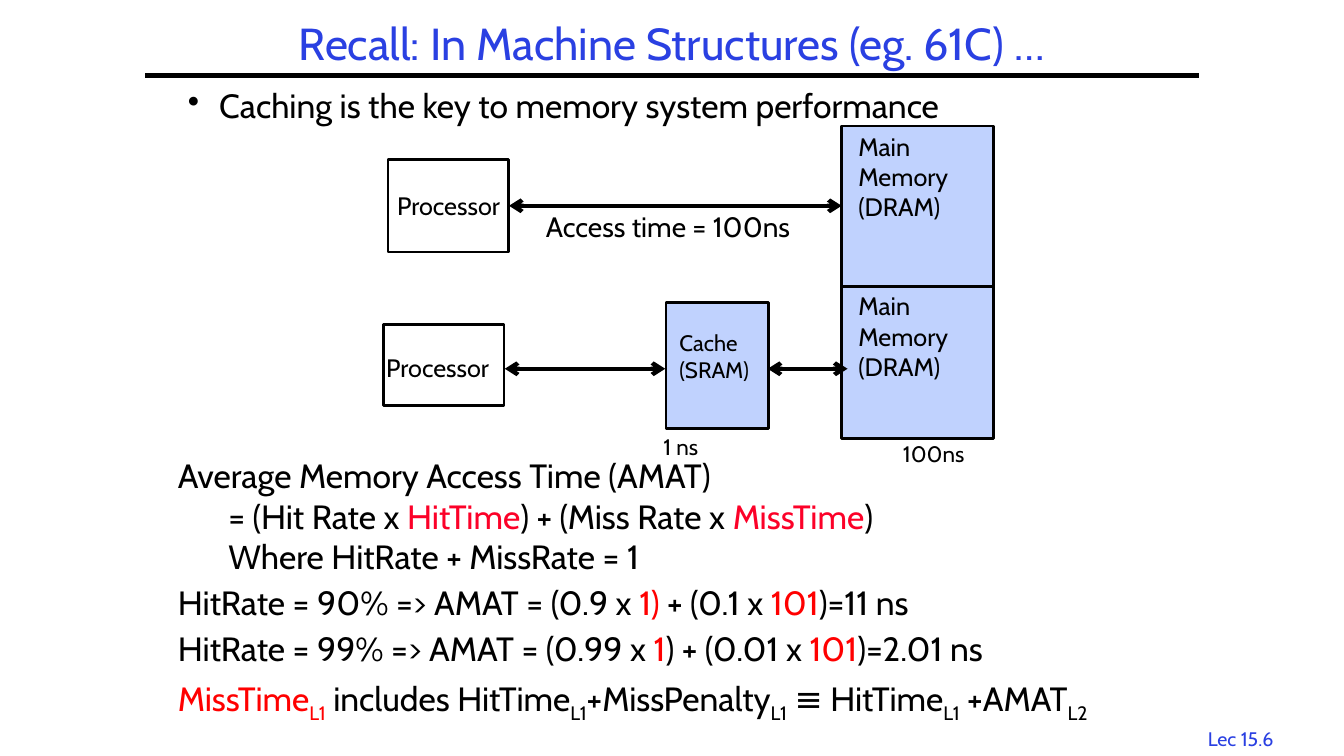
from dataclasses import dataclass

from lxml.etree import SubElement
from pptx import Presentation
from pptx.dml.color import RGBColor as Rgb
from pptx.enum.shapes import MSO_CONNECTOR as Connector, MSO_SHAPE as Preset
from pptx.enum.text import MSO_ANCHOR as Anchor, MSO_AUTO_SIZE as AutoSize, PP_ALIGN as Align
from pptx.oxml.ns import qn
from pptx.util import Inches, Pt


@dataclass(frozen=True)
class Theme:
    font: str = "Cabin"
    ink: str = "000000"
    heading: str = "2A40E2"
    memory: str = "C0D2FE"
    crimson: str = "FC0128"
    red: str = "FF0000"
    title_size: int = 32
    body_size: int = 24
    access_size: int = 20
    label_size: int = 18
    small_size: int = 16
    footer_size: int = 14
    outline: float = 2
    stroke: float = 3
    tight: float = 0.9
    gap: float = 7.2


@dataclass(frozen=True)
class Area:
    column: float
    row: float
    columns: float
    rows: float


@dataclass(frozen=True)
class Block:
    area: Area
    fill: str | None = None


@dataclass(frozen=True)
class Label:
    area: Area
    text: str
    size: int
    align: Align = Align.LEFT
    color: str = Theme.ink
    wrap: bool = True


@dataclass(frozen=True)
class Link:
    start: float
    end: float
    row: float
    arrows: bool = True


@dataclass(frozen=True)
class Piece:
    text: str
    color: str = Theme.ink
    lowered: bool = False


@dataclass(frozen=True)
class Formula:
    pieces: tuple[Piece, ...]
    spaced: bool = False


THEME = Theme()
deck = Presentation()
deck.slide_width, deck.slide_height = Inches(13.33), Inches(7.5)
COLUMN, ROW = deck.slide_width / 160, deck.slide_height / 90


def across(columns: float) -> int:
    return round(columns * COLUMN)


def down(rows: float) -> int:
    return round(rows * ROW)


def box(area: Area) -> tuple[int, int, int, int]:
    return across(area.column), down(area.row), across(area.columns), down(area.rows)


def style(font, size: float, color: str) -> None:
    font.name, font.size = THEME.font, Pt(size)
    font.color.rgb = Rgb.from_string(color)


def draw_label(slide, label: Label):
    frame = slide.shapes.add_textbox(*box(label.area)).text_frame
    frame.word_wrap = label.wrap
    frame.text = label.text
    for paragraph in frame.paragraphs:
        paragraph.alignment = label.align
        for run in paragraph.runs:
            style(run.font, label.size, label.color)
    return frame


def draw_block(slide, block: Block) -> None:
    shape = slide.shapes.add_shape(Preset.RECTANGLE, *box(block.area))
    shape.shadow.inherit = False
    if block.fill:
        shape.fill.solid()
        shape.fill.fore_color.rgb = Rgb.from_string(block.fill)
    else:
        shape.fill.background()
    shape.line.color.rgb = Rgb.from_string(THEME.ink)
    shape.line.width = Pt(THEME.outline)


def draw_link(slide, link: Link) -> None:
    y = down(link.row)
    connector = slide.shapes.add_connector(
        Connector.STRAIGHT, across(link.start), y, across(link.end), y)
    connector.line.color.rgb = Rgb.from_string(THEME.ink)
    connector.line.width = Pt(THEME.stroke)
    properties = connector._element.spPr
    if link.arrows:
        for end in ("a:headEnd", "a:tailEnd"):
            SubElement(properties.find(qn("a:ln")), qn(end), type="arrow")
    SubElement(properties, qn("a:effectLst"))


def draw_title(slide, area: Area, text: str) -> None:
    title = slide.shapes.title
    title.left, title.top, title.width, title.height = box(area)
    frame = title.text_frame
    frame.text = text
    frame.word_wrap, frame.auto_size = True, AutoSize.NONE
    frame.vertical_anchor = Anchor.MIDDLE
    heading = frame.paragraphs[0]
    heading.alignment, heading.line_spacing = Align.CENTER, THEME.tight
    style(heading.runs[0].font, THEME.title_size, THEME.heading)


def draw_bullet(slide, label: Label) -> None:
    point = draw_label(slide, label).paragraphs[0]
    point.line_spacing = THEME.tight
    properties = point._p.get_or_add_pPr()
    properties.set("marL", str(Inches(0.31)))
    properties.set("indent", str(-Inches(0.31)))
    SubElement(properties, qn("a:buChar"), char="•")


def draw_formulas(slide, area: Area, formulas: tuple[Formula, ...]) -> None:
    frame = slide.shapes.add_textbox(*box(area)).text_frame
    frame.word_wrap = True
    for index, formula in enumerate(formulas):
        paragraph = frame.add_paragraph() if index else frame.paragraphs[0]
        if formula.spaced:
            paragraph.line_spacing, paragraph.space_before = THEME.tight, Pt(THEME.gap)
        for piece in formula.pieces:
            run = paragraph.add_run()
            run.text = piece.text
            style(run.font, THEME.body_size, piece.color)
            if piece.lowered:
                run._r.get_or_add_rPr().set("baseline", "-25000")


def hit_rate(rate: str, hit: str, hit_end: str, miss: str, result: str) -> Formula:
    return Formula((Piece(f"HitRate = {rate} => AMAT = ({hit} x "), Piece("1" + hit_end[0], THEME.red)
                    if hit_end[0] == ")" else Piece("1", THEME.red),
                    Piece(f"{hit_end[1:]} + ({miss} x " if hit_end[0] == ")" else f") + ({miss} x "),
                    Piece("101", THEME.red), Piece(f")={result} ns")), spaced=True)


MEMORY = "Main\nMemory\n(DRAM)"
LEVEL_1 = Piece("L1", lowered=True)
BLOCKS = (
    Block(Area(45.7, 38.6, 14.3, 9.7)),
    Block(Area(100.2, 34.1, 18.1, 18.1), THEME.memory),
    Block(Area(79.3, 36, 12.2, 15), THEME.memory),
    Block(Area(46.2, 19, 14.3, 11)),
    Block(Area(100.2, 15, 18.1, 19.1), THEME.memory),
)
LABELS = (
    Label(Area(44.8, 41.3, 16.3, 4.8), "Processor", THEME.label_size),
    Label(Area(101, 34, 16, 12.1), MEMORY, THEME.label_size),
    Label(Area(106.3, 51.8, 11.6, 4.4), "100ns", THEME.small_size),
    Label(Area(77.8, 51, 11.6, 4.4), "1 ns", THEME.small_size),
    Label(Area(79.7, 38.6, 12.7, 7.7), "Cache\n(SRAM)", THEME.small_size),
    Label(Area(45.1, 22.1, 16.6, 4.8), "Processor", THEME.label_size, Align.CENTER),
    Label(Area(101, 15, 16.3, 12.1), MEMORY, THEME.label_size),
    Label(Area(63.8, 24.4, 40, 5.3), "Access time = 100ns", THEME.access_size),
    Label(Area(141.2, 85.9, 13, 4), "Lec 15.6", THEME.footer_size, Align.CENTER, THEME.heading, False),
)
LINKS = (Link(17.3, 142.7, 9, arrows=False), Link(91.4, 100.9, 43.9),
         Link(60.1, 79.2, 43.9), Link(60.6, 100.2, 24.5))
FORMULAS = (
    Formula((Piece("Average Memory Access Time (AMAT)"),)),
    Formula((Piece("\t= (Hit Rate x "), Piece("HitTime", THEME.crimson), Piece(") + (Miss Rate x "),
             Piece("MissTime", THEME.crimson), Piece(")"))),
    Formula((Piece("\tWhere HitRate + MissRate = 1"),)),
    hit_rate("90%", "0.9", ")", "0.1", "11"),
    hit_rate("99%", "0.99", " ", "0.01", "2.01"),
    Formula((Piece("MissTime", THEME.red), Piece("L1", THEME.red, True), Piece(" includes HitTime"), LEVEL_1,
             Piece("+MissPenalty"), LEVEL_1, Piece(" ≡ HitTime"), LEVEL_1, Piece(" +AMAT"),
             Piece("L2", lowered=True)), spaced=True),
)

recall = deck.slides.add_slide(deck.slide_layouts.get_by_name("Title Only"))
draw_title(recall, Area(24, 2, 112, 7), "Recall: In Machine Structures (eg. 61C) …")
draw_bullet(recall, Label(Area(21.2, 10, 116.9, 11.9),
                          "Caching is the key to memory system performance", THEME.body_size))
draw_formulas(recall, Area(20, 53.6, 121, 36), FORMULAS)
for part in BLOCKS:
    draw_block(recall, part)
for caption in LABELS:
    draw_label(recall, caption)
for link in LINKS:
    draw_link(recall, link)
deck.save("out.pptx")
